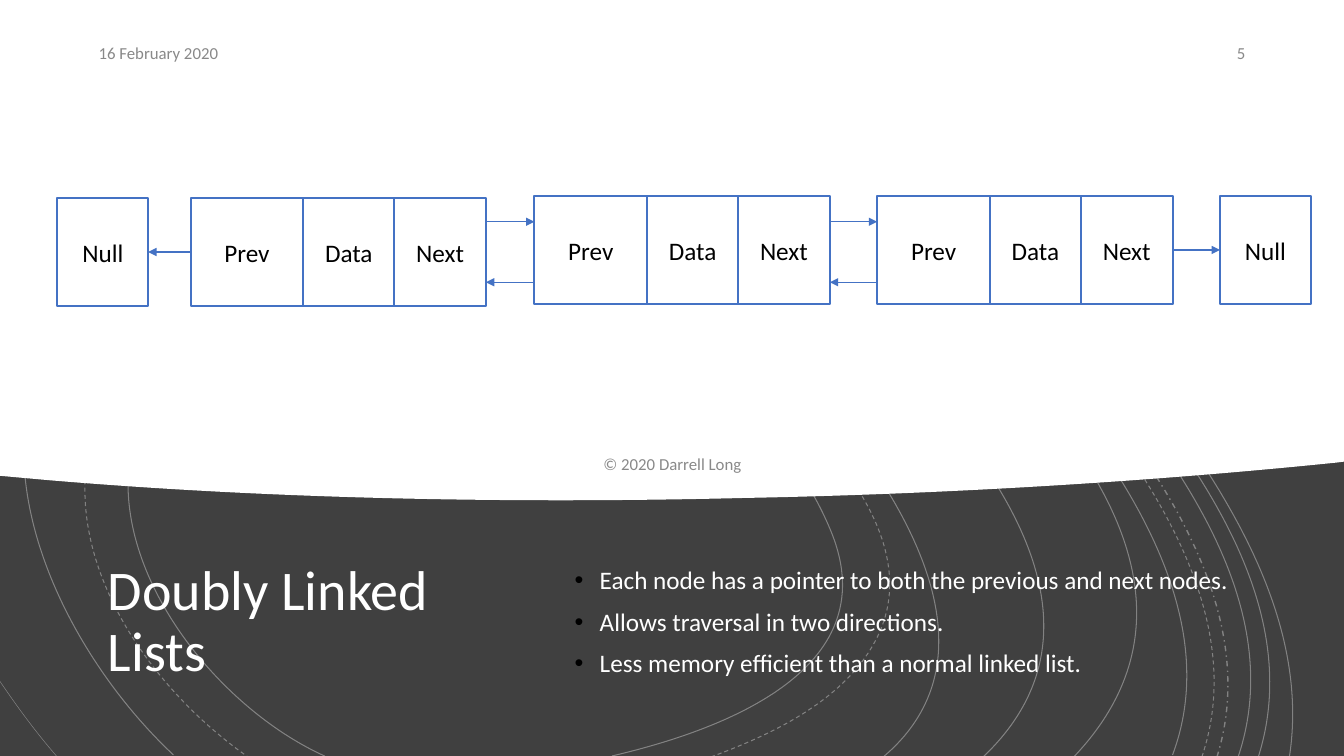
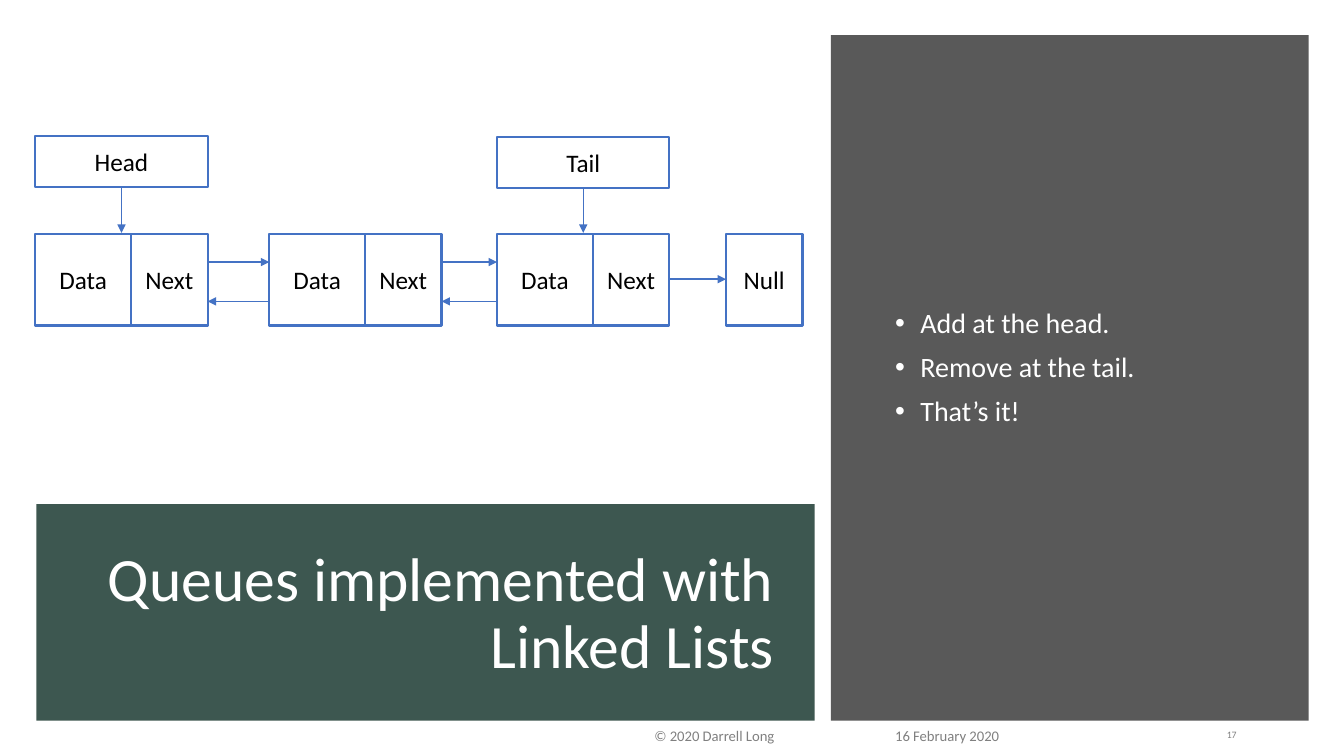
from lxml import etree
from pptx import Presentation
from pptx.dml.color import RGBColor
from pptx.enum import dml, shapes, text
from pptx.oxml import ns
from pptx.util import Inches, Pt

FONT = "Calibri"
DATE, CREDIT = "16 February 2020", "© 2020 Darrell Long"
COLORS = {
    "white": "FFFFFF", "black": "000000", "blue": "4472C4",
    "dark": "404040", "panel": "595959", "green": "334F47",
    "footer": "898989", "footer_dark": "808080",
}
LEFT, CENTER, RIGHT = text.PP_ALIGN.LEFT, text.PP_ALIGN.CENTER, text.PP_ALIGN.RIGHT
SOLID, DASH, DASH_DOT = (dml.MSO_LINE.SOLID, dml.MSO_LINE.DASH, dml.MSO_LINE.DASH_DOT)

# Contour lines on the dark band: width, dash, start point, cubic segments
CONTOURS = [
    (0.75, SOLID, (8.76, 7.51), [
        (10.25, 6.25, 8.35, 4.09, 7.38, 3.15), (6.49, 2.3, 5.36, 1.64, 4.12, 1.53),
        (2.87, 1.41, 1.41, 2.08, 0.68, 3.07), (-0.36, 4.47, 0.6, 6.44, 1.72, 7.49)]),
    (0.75, SOLID, (6.07, 7.5), [
        (7.1, 7.26, 8.8, 6.67, 8.25, 5.29), (7.73, 3.99, 6.15, 2.78, 4.8, 2.48),
        (3.57, 2.2, 2.16, 2.81, 1.51, 3.91), (0.73, 5.24, 2, 6.95, 3.22, 7.5)]),
    (0.75, DASH, (7.05, 7.51), [
        (7.65, 7.29, 8.35, 6.96, 8.67, 6.38), (9.06, 5.68, 8.64, 4.95, 8.17, 4.4),
        (7.23, 3.29, 5.92, 2.27, 4.43, 2.09), (3.19, 1.95, 1.93, 2.67, 1.22, 3.68),
        (0.27, 5.04, 1.27, 6.68, 2.46, 7.51)]),
    (0.75, SOLID, (9.75, 7.51), [
        (11.3, 6.04, 9.5, 4.13, 8.38, 3.06), (7.32, 2.06, 6.03, 1.2, 4.58, 0.92),
        (2.84, 0.59, 1.11, 1.43, 0, 2.8)]),
    (0.38, SOLID, (0, 6.76), [(0.19, 7.04, 0.37, 7.28, 0.56, 7.5)]),
    (0.75, SOLID, (10.65, 7.51), [
        (12.13, 5.95, 10.67, 4.22, 9.44, 3.07), (8.17, 1.89, 6.67, 0.87, 4.98, 0.44),
        (2.98, -0.06, 1.52, 0.46, 0, 1.84)]),
    (0.75, SOLID, (11.63, 7.49), [
        (12.26, 5.81, 10.64, 4.01, 9.63, 2.87), (8.58, 1.7, 7.36, 0.66, 5.93, 0)]),
    (0.75, DASH, (11.92, 7.51), [
        (12.48, 5.86, 10.98, 4.15, 10, 3.01), (8.97, 1.81, 7.77, 0.73, 6.37, 0)]),
    (1, DASH_DOT, (12.07, 7.51), [
        (12.59, 5.85, 11.13, 4.17, 10.15, 3.02), (9.13, 1.83, 7.95, 0.75, 6.58, 0)]),
    (0.75, SOLID, (12.28, 7.51), [
        (12.83, 5.88, 11.44, 4.25, 10.46, 3.12), (9.41, 1.9, 8.2, 0.79, 6.79, -0.01)]),
    (0.75, SOLID, (12.48, 7.51), [
        (12.99, 5.9, 11.67, 4.32, 10.7, 3.18), (9.66, 1.95, 8.46, 0.83, 7.07, 0)]),
    (0.75, SOLID, (12.79, 7.5), [
        (13.03, 5.9, 11.82, 4.38, 10.9, 3.22), (9.93, 2, 8.81, 0.87, 7.52, 0)]),
]
# White sheet: straight segments have two numbers, cubic ones six
SHEET = [(13.33, 0), (13.33, 4.58), (13.25, 4.59),
         (11.09, 4.81, 9.01, 4.91, 7.39, 4.94), (5.4, 4.99, 2.91, 4.97, 0.44, 4.76),
         (0, 4.72)]


def rgb(name):
    return RGBColor.from_string(COLORS[name])


def place(shape, box):
    shape.left, shape.top, shape.width, shape.height = map(Inches, box)


def set_opacity(shape, percent):
    color = shape.element.spPr.find(".//" + ns.qn("a:srgbClr"))
    etree.SubElement(color, ns.qn("a:alpha"), val=str(percent * 1000))


# Text
def write(shape, lines, size, color, align=LEFT, line=None, before=None, after=None):
    frame = shape.text_frame
    frame.word_wrap = True
    frame.auto_size = text.MSO_AUTO_SIZE.NONE
    frame.vertical_anchor = text.MSO_ANCHOR.MIDDLE
    frame.text = "\n".join(lines)
    for para in frame.paragraphs:
        para.alignment = align
        para.line_spacing = line
        para.space_before = before
        para.space_after = after
        para.font.name = FONT
        para.font.size = Pt(size)
        para.font.color.rgb = rgb(color)


def add_text(page, box, lines, size, color, **style):
    shape = page.shapes.add_textbox(*map(Inches, box))
    write(shape, lines, size, color, **style)
    return shape


def add_bullets(page, box, lines, size, bullet_color):
    shape = add_text(page, box, lines, size, "white", line=0.9, before=Pt(10))
    for para in shape.text_frame.paragraphs:
        props = para._p.get_or_add_pPr()
        props.set("marL", str(Inches(0.25)))
        props.set("indent", str(-Inches(0.25)))
        parts = [etree.Element(ns.qn(tag)) for tag in ("a:buClr", "a:buFont", "a:buChar")]
        etree.SubElement(parts[0], ns.qn("a:srgbClr"), val=COLORS[bullet_color])
        parts[1].set("typeface", "Arial")
        parts[2].set("char", "•")
        defaults = props.find(ns.qn("a:defRPr"))
        for part in parts:
            defaults.addprevious(part)


def set_title(page, box, words, size, align=LEFT):
    title = page.shapes.title
    place(title, box)
    write(title, [words], size, "white", align=align, line=0.9)
    title.element.getparent().append(title.element)  # bring to front


def add_footer(page, box, words, size, color, align=LEFT):
    add_text(page, box, [words], size, color, align=align, after=Pt(6))


# Shapes
def add_rect(page, box, fill):
    shape = page.shapes.add_shape(shapes.MSO_SHAPE.RECTANGLE, *map(Inches, box))
    shape.shadow.inherit = False
    shape.fill.solid()
    shape.fill.fore_color.rgb = rgb(fill)
    shape.line.fill.background()
    return shape


def add_cell(page, box, label):
    cell = add_rect(page, box, "white")
    cell.line.color.rgb = rgb("blue")
    cell.line.width = Pt(1.5)
    write(cell, [label], 18, "black", align=CENTER)


def add_node(page, left, top, height, fields):
    for label, width in fields:
        add_cell(page, (left, top, width, height), label)
        left += width


def add_arrow(page, start, end, width=1):
    arrow = page.shapes.add_connector(
        shapes.MSO_CONNECTOR.STRAIGHT, *map(Inches, start + end))
    arrow.line.color.rgb = rgb("blue")
    arrow.line.width = Pt(width)
    props = arrow.element.spPr
    etree.SubElement(props.find(ns.qn("a:ln")), ns.qn("a:tailEnd"), type="triangle")
    etree.SubElement(props, ns.qn("a:effectLst"))


def add_outline(parent, start, segments, close=False):
    """Build an outline, then turn each six-number segment into a cubic curve."""
    points = [(Inches(x), Inches(y)) for segment in segments
              for x, y in zip(segment[::2], segment[1::2])]
    builder = parent.shapes.build_freeform(*map(Inches, start))
    builder.add_line_segments(points, close=close)
    shape = builder.convert_to_shape()
    shape.shadow.inherit = False
    steps = iter(list(shape.element.spPr.iter(ns.qn("a:lnTo"))))
    for segment in segments:
        step = next(steps)
        if len(segment) == 6:
            curve = etree.Element(ns.qn("a:cubicBezTo"))
            step.addprevious(curve)
            for line in (step, next(steps), next(steps)):
                curve.append(line[0])
                line.getparent().remove(line)
    return shape


# Dark band with contour lines below a curved white sheet
def draw_curved_backdrop(page):
    add_rect(page, (0, 0, 13.33, 7.5), "dark")
    contours = page.shapes.add_group_shape()
    for width, dash, start, segments in CONTOURS:
        contour = add_outline(contours, start, segments)
        contour.fill.background()
        contour.line.color.rgb = rgb("white")
        contour.line.width = Pt(width)
        contour.line.dash_style = dash
        set_opacity(contour, 35)
    sheet = add_outline(page, (0, 0), SHEET, close=True)
    sheet.fill.solid()
    sheet.fill.fore_color.rgb = rgb("white")
    sheet.line.fill.background()


# Null and three nodes, linked both ways, ending in Null
def draw_doubly_linked_list(page, left, top):
    height, cell = 1.08, 0.9
    fields = [("Prev", 1.12), ("Data", cell), ("Next", 0.91)]
    node_width = sum(width for _, width in fields)
    lefts = [left + offset for offset in (1.32, 4.73, 8.13, 11.53)]
    add_cell(page, (left, top + 0.02, cell, height), "Null")
    add_cell(page, (lefts[3], top, cell, height), "Null")
    for index, (start, following) in enumerate(zip(lefts, lefts[1:])):
        add_node(page, start, top + (0.02 if index == 0 else 0), height, fields)
        end = start + node_width
        if index < 2:
            add_arrow(page, (end, top + 0.26), (following, top + 0.26))
            add_arrow(page, (following, top + 0.86), (end, top + 0.86))
        else:
            add_arrow(page, (end, top + 0.54), (following, top + 0.54))
    add_arrow(page, (lefts[0], top + 0.56), (left + cell, top + 0.56))


# Three nodes ending in Null, with Head and Tail pointers above
def draw_queue(page, left, top):
    height, node_top = 0.91, top + 0.97
    fields = [("Data", 0.95), ("Next", 0.76)]
    node_width = sum(width for _, width in fields)
    lefts = [left, left + 2.32, left + 4.58, left + 6.85]
    for index, (start, following) in enumerate(zip(lefts, lefts[1:])):
        add_node(page, start, node_top, height, fields)
        end = start + node_width
        if index < 2:
            add_arrow(page, (end, node_top + 0.28), (following, node_top + 0.28))
            add_arrow(page, (following, node_top + 0.67), (end, node_top + 0.67), 0.5)
        else:
            add_arrow(page, (end, node_top + 0.45), (following, node_top + 0.45))
    add_cell(page, (lefts[3], node_top, 0.76, height), "Null")
    for label, start, box_top in (("Head", lefts[0], top), ("Tail", lefts[2], top + 0.01)):
        add_cell(page, (start, box_top, node_width, 0.51), label)
        center = start + node_width / 2
        add_arrow(page, (center, top + 0.51), (center, node_top - 0.01), 0.5)


def add_number_badge(page, box, number):
    badge = page.shapes.add_shape(shapes.MSO_SHAPE.OVAL, *map(Inches, box))
    badge.shadow.inherit = False
    badge.fill.background()
    badge.line.fill.background()
    write(badge, [number], 7, "footer_dark", align=RIGHT, line=0.9, after=Pt(6))


def build_lists_slide(page):
    draw_curved_backdrop(page)
    set_title(page, (0.97, 5.21, 4.32, 1.94), "Doubly Linked Lists", 40)
    add_footer(page, (0.88, 0.35, 4, 0.35), DATE, 12, "footer")
    add_footer(page, (11.45, 0.35, 1, 0.35), "5", 12, "footer", RIGHT)
    add_footer(page, (1.47, 4.43, 10.4, 0.35), CREDIT, 12, "footer", CENTER)
    add_bullets(page, (5.6, 5.21, 6.87, 1.94), [
        "Each node has a pointer to both the previous and next nodes.",
        "Allows traversal in two directions.",
        "Less memory efficient than a normal linked list.",
    ], 18, "black")
    draw_doubly_linked_list(page, 0.57, 1.94)


def build_queue_slide(page):
    set_opacity(add_rect(page, (0.36, 5, 7.72, 2.15), "green"), 95)
    set_title(page, (0.57, 5.21, 7.21, 1.78),
              "Queues implemented with Linked Lists", 44, RIGHT)
    add_footer(page, (0.57, 7.15, 7.21, 0.3), CREDIT, 10.5, "footer_dark", RIGHT)
    add_rect(page, (8.24, 0.35, 4.74, 6.8), "panel")
    add_bullets(page, (8.78, 1, 3.75, 5.31),
                ["Add at the head.", "Remove at the tail.", "That’s it!"], 20, "white")
    add_footer(page, (8.78, 7.15, 2.36, 0.3), DATE, 10.5, "footer_dark")
    add_number_badge(page, (11.46, 7.15, 1.06, 0.3), "17")
    draw_queue(page, 0.35, 1.35)


def main():
    deck = Presentation()
    deck.slide_width, deck.slide_height = Inches(13.33), Inches(7.5)
    title_only = deck.slide_layouts[5]
    for build in (build_lists_slide, build_queue_slide):
        build(deck.slides.add_slide(title_only))
    deck.save("out.pptx")


if __name__ == "__main__":
    main()
